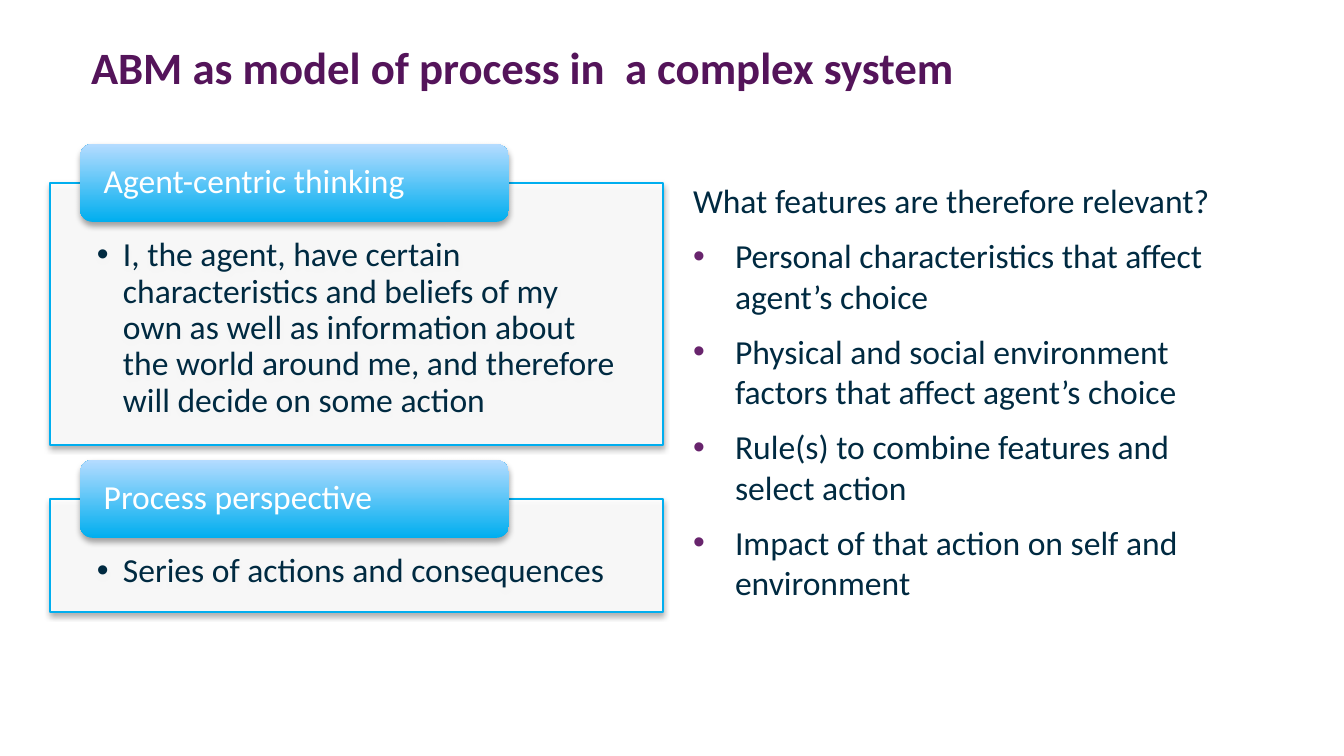
from lxml import etree
from pptx import Presentation
from pptx import util as u
from pptx.dml.color import RGBColor
from pptx.enum import shapes, text
from pptx.oxml.ns import qn

PLUM = RGBColor(0x54, 0x14, 0x5A)
PURPLE = RGBColor(0x68, 0x24, 0x6D)
NAVY = RGBColor(0x00, 0x2A, 0x41)
SKY = RGBColor(0x00, 0xAE, 0xEF)
PALE = RGBColor(0xB5, 0xDC, 0xFF)
WHITE = RGBColor(0xFF, 0xFF, 0xFF)
BLACK = RGBColor(0, 0, 0)


def px(n):
    return u.Emu(round(n * 914400 / 134.4))


class Deck:
    font = "Calibri"

    def __init__(self, width, height):
        self.prs = Presentation()
        self.prs.slide_width, self.prs.slide_height = px(width), px(height)
        self.slide = self.prs.slides.add_slide(self.prs.slide_layouts[1])

    def frame(self, sp, insets=(0, 0, 0, 0), anchor=text.MSO_ANCHOR.TOP):
        tf = sp.text_frame
        tf.word_wrap = True
        tf.auto_size = text.MSO_AUTO_SIZE.NONE
        tf.vertical_anchor = anchor
        tf.margin_left, tf.margin_top, tf.margin_right, tf.margin_bottom = map(px, insets)
        return tf

    def place(self, sp, box):
        sp.left, sp.top, sp.width, sp.height = map(px, box)
        return self.frame(sp)

    def add_words(self, p, words, color, size=18, bold=False, spacing=1.0, before=0):
        p.alignment = text.PP_ALIGN.LEFT
        p.line_spacing = spacing
        p.space_before = u.Pt(before)
        r = p.add_run()
        r.text = words
        r.font.name, r.font.size, r.font.bold = self.font, u.Pt(size), bold
        r.font.color.rgb = color

    def bullet(self, p, indent, color=None):
        pPr = p._p.get_or_add_pPr()
        pPr.set("marL", str(px(indent)))
        pPr.set("indent", str(px(-indent)))
        if not indent:
            etree.SubElement(pPr, qn("a:buNone"))
            return
        if color is not None:
            clr = etree.SubElement(pPr, qn("a:buClr"))
            etree.SubElement(clr, qn("a:srgbClr"), val=str(color))
        etree.SubElement(pPr, qn("a:buFont"), typeface="Arial")
        etree.SubElement(pPr, qn("a:buChar"), char="•")

    def title(self, words, box):
        tf = self.place(self.slide.shapes.title, box)
        self.add_words(tf.paragraphs[0], words, PLUM, size=24, bold=True)

    def body(self, heading, items, box):
        tf = self.place(self.slide.placeholders[1], box)
        self.bullet(tf.paragraphs[0], 0)
        self.add_words(tf.paragraphs[0], heading, NAVY)
        for item in items:
            p = tf.add_paragraph()
            self.bullet(p, 42, PURPLE)
            self.add_words(p, item, NAVY, before=8)

    def shape(self, kind, box):
        sp = self.slide.shapes.add_shape(kind, *map(px, box))
        sp.shadow.inherit = False
        effects = sp._element.spPr.find(qn("a:effectLst"))
        shadow = etree.SubElement(effects, qn("a:outerShdw"), blurRad="40000",
                                  dist="23000", dir="5400000", rotWithShape="0")
        clr = etree.SubElement(shadow, qn("a:srgbClr"), val=str(BLACK))
        etree.SubElement(clr, qn("a:alpha"), val="35000")
        return sp

    def panel(self, words, box):
        sp = self.shape(shapes.MSO_SHAPE.RECTANGLE, box)
        sp.fill.solid()
        sp.fill.fore_color.rgb = WHITE
        clr = sp._element.spPr.find(qn("a:solidFill"))[0]
        etree.SubElement(clr, qn("a:alpha"), val="90000")
        sp.line.color.rgb = SKY
        sp.line.width = u.Pt(0.75)
        p = self.frame(sp, (47, 55, 47, 19)).paragraphs[0]
        self.bullet(p, 26)
        self.add_words(p, words, NAVY, spacing=0.9)

    def tab(self, words, box):
        sp = self.shape(shapes.MSO_SHAPE.ROUNDED_RECTANGLE, box)
        sp.fill.gradient()
        sp.fill.gradient_angle = 90
        for stop, color, position in zip(sp.fill.gradient_stops, (SKY, PALE), (0, 1)):
            stop.color.rgb = color
            stop.position = position
        sp.line.fill.background()
        tf = self.frame(sp, (20, 0, 20, 0), text.MSO_ANCHOR.MIDDLE)
        self.add_words(tf.paragraphs[0], words, WHITE, spacing=0.9)

    def card(self, heading, words, top, height):
        self.panel(words, (50, top, 613, height))
        self.tab(heading, (80, top - 39, 429, 78))


def main():
    deck = Deck(1344, 756)
    deck.title("ABM as model of process in  a complex system", (91, 40, 1161, 126))
    deck.body("What features are therefore relevant?", [
        "Personal characteristics that affect agent’s choice",
        "Physical and social environment factors that affect agent’s choice",
        "Rule(s) to combine features and select action",
        "Impact of that action on self and environment",
    ], (693, 180, 559, 429))
    deck.card("Agent-centric thinking",
              "I, the agent, have certain characteristics and beliefs of my own as well as "
              "information about the world around me, and therefore will decide on some action",
              183, 262)
    deck.card("Process perspective", "Series of actions and consequences", 499, 113)
    deck.prs.save("out.pptx")


if __name__ == "__main__":
    main()
